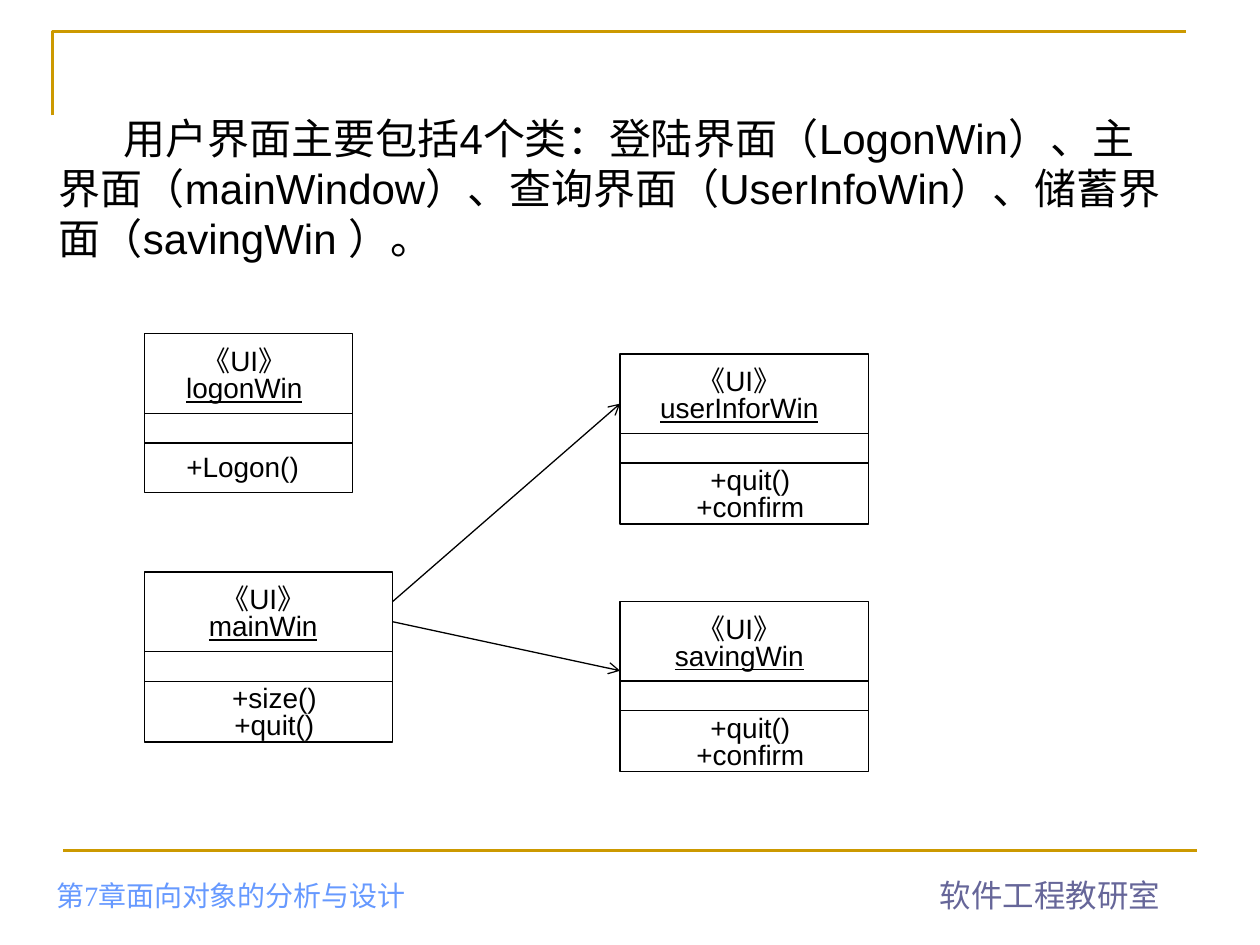
"""Build a slide with the user-interface class diagram of a savings system."""
from lxml import etree
from pptx import Presentation
from pptx.dml.color import RGBColor
from pptx.enum import shapes, text
from pptx.oxml.ns import qn
from pptx.util import Pt

INTRO = ("用户界面主要包括4个类：登陆界面（LogonWin）、主界面（mainWindow）、"
         "查询界面（UserInfoWin）、储蓄界面（savingWin ）。")
CHAPTER = "第7章面向对象的分析与设计"
DEPARTMENT = "软件工程教研室"
STEREOTYPE = "《UI》"

CLASSES = {
    "logonWin": dict(left=82.4, top=190.8, width=119.2, height=90.7, operations=["+Logon()"]),
    "userInforWin": dict(left=354.4, top=202.3, width=141.8, height=97.2,
                         operations=["+quit()", "+confirm"]),
    "mainWin": dict(left=82.4, top=326.9, width=141.8, height=97.2,
                    operations=["+size()", "+quit()"]),
    "savingWin": dict(left=354.4, top=343.8, width=141.8, height=97.2,
                      operations=["+quit()", "+confirm"]),
}
# (source class, drop from its top, target class, drop from its top)
LINKS = [("mainWin", 17, "userInforWin", 28.35), ("mainWin", 28.35, "savingWin", 39.5)]
NAME_HEIGHT, ATTRIBUTE_HEIGHT = 45.36, 17

THEME = dict(
    ink="000000", gold="CC9900", chapter="6699FF", department="666699",
    sans="Arial", serif="Times New Roman",
    intro_size=24, label_size=16, department_size=18, rule=1.5, thin=0.75,
)


def color(name):
    return RGBColor.from_string(THEME[name])


def add_text(page, content, left, top, width, height, size="label_size", ink="ink",
             font="sans", align=None, spacing=None, underlined=(), indent=0,
             wrap=True, grow=True, anchor=text.MSO_ANCHOR.TOP):
    box = page.shapes.add_textbox(Pt(left), Pt(top), Pt(width), Pt(height))
    frame = box.text_frame
    frame.word_wrap = wrap
    frame.vertical_anchor = anchor
    frame.auto_size = text.MSO_AUTO_SIZE.SHAPE_TO_FIT_TEXT if grow else text.MSO_AUTO_SIZE.NONE
    frame.text = "\n".join(content)
    for para, line in zip(frame.paragraphs, content):
        para.alignment = align
        para.line_spacing = spacing
        if indent:
            para._p.get_or_add_pPr().set("indent", str(Pt(indent)))
        span = para.runs[0]
        span.font.size = Pt(THEME[size])
        span.font.name = THEME[font]
        span.font.color.rgb = color(ink)
        if line in underlined:
            span.font.underline = True


def add_line(page, start, end, ink="ink", weight="thin", arrow=False):
    line = page.shapes.add_connector(
        shapes.MSO_CONNECTOR.STRAIGHT, *(Pt(value) for value in (*start, *end)))
    line.line.color.rgb = color(ink)
    line.line.width = Pt(THEME[weight])
    if arrow:
        etree.SubElement(line.line._get_or_add_ln(), qn("a:tailEnd"), type="arrow")
    etree.SubElement(line._element.spPr, qn("a:effectLst"))


def add_frame(page):
    builder = page.shapes.build_freeform(Pt(30), Pt(66))
    builder.add_line_segments([(Pt(30), Pt(18)), (Pt(678), Pt(18))], close=False)
    corner = builder.convert_to_shape()
    corner.shadow.inherit = False
    corner.fill.background()
    corner.line.color.rgb = color("gold")
    corner.line.width = Pt(THEME["rule"])
    add_line(page, (36, 486), (684, 486), ink="gold", weight="rule")
    add_text(page, [DEPARTMENT], 530, 496.8, 140.4, 28.8, size="department_size",
             ink="department", wrap=False)
    add_text(page, [CHAPTER], 25.2, 502.5, 295.2, 22.3, ink="chapter", font="serif",
             grow=False, anchor=text.MSO_ANCHOR.BOTTOM)


def add_class(page, name, left, top, width, height, operations):
    centered = dict(align=text.PP_ALIGN.CENTER, spacing=0.8)
    add_text(page, [STEREOTYPE, name], left + 0.05 * width, top + 5.8, 0.86 * width, 38.2,
             underlined=[name], **centered)
    outline = page.shapes.add_shape(shapes.MSO_SHAPE.RECTANGLE,
                                    Pt(left), Pt(top), Pt(width), Pt(height))
    outline.shadow.inherit = False
    outline.fill.background()
    outline.line.color.rgb = color("ink")
    outline.line.width = Pt(THEME["thin"])
    attributes = top + NAME_HEIGHT
    methods = attributes + ATTRIBUTE_HEIGHT
    for y in (attributes, methods):
        add_line(page, (left, y), (left + width, y))
    add_text(page, operations, left + 17, methods, 0.81 * width, 38.2 if operations[1:] else 26.6,
             **(centered if operations[1:] else {}))


def main():
    deck = Presentation()
    deck.slide_width, deck.slide_height = Pt(720), Pt(540)
    page = deck.slides.add_slide(deck.slide_layouts[6])
    add_frame(page)
    for name, details in CLASSES.items():
        add_class(page, name, **details)
    add_text(page, [INTRO], 26.6, 60.5, 646.6, 93.6, size="intro_size", indent=37)
    for source, source_drop, target, target_drop in LINKS:
        origin, goal = CLASSES[source], CLASSES[target]
        add_line(page, (origin["left"] + origin["width"], origin["top"] + source_drop),
                 (goal["left"], goal["top"] + target_drop), arrow=True)
    deck.save("out.pptx")


if __name__ == "__main__":
    main()
